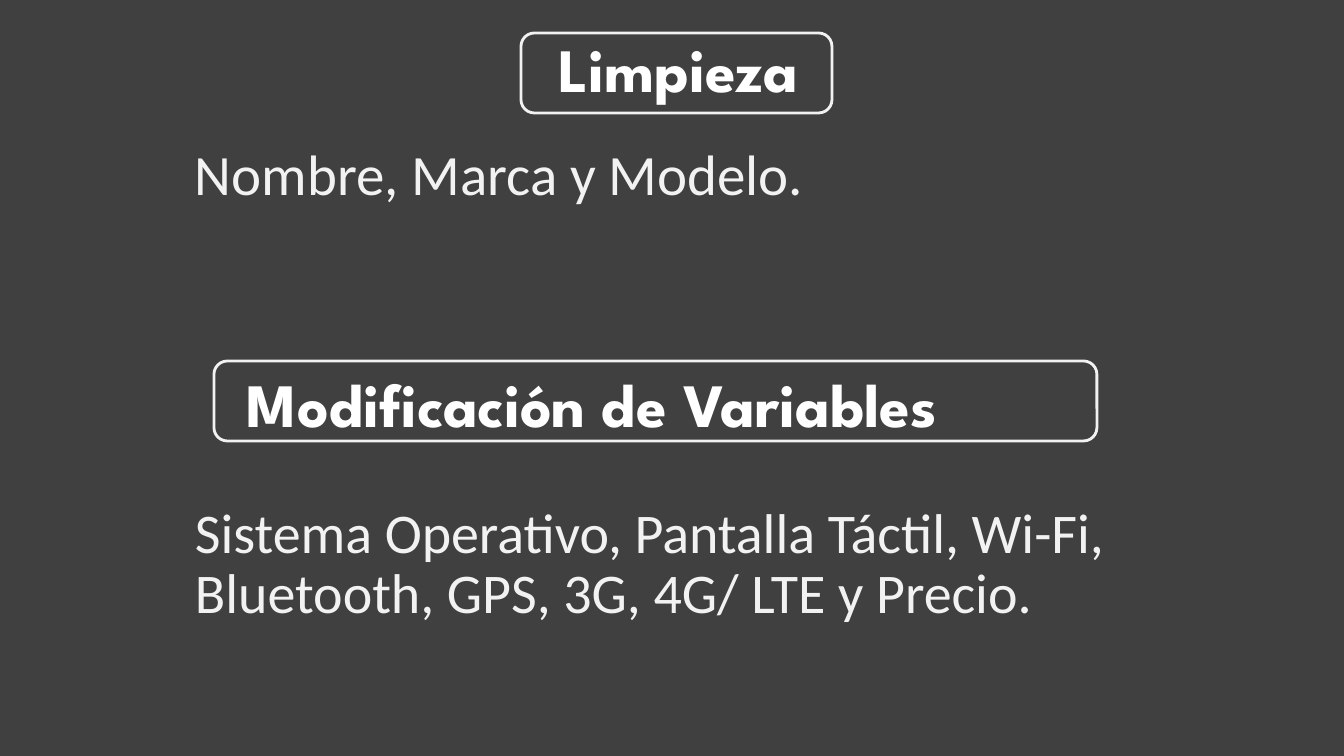
from dataclasses import dataclass

import pptx
import pptx.dml.color
import pptx.enum.shapes
import pptx.enum.text
import pptx.util

Align = pptx.enum.text.PP_ALIGN
Anchor = pptx.enum.text.MSO_ANCHOR
SCALE = 914400 / 100.8  # EMU in one px


@dataclass(frozen=True)
class Theme:
    back: str = "404040"
    white: str = "FFFFFF"
    pale: str = "F2F2F2"
    head_font: str = "League Spartan"
    body_font: str = "Calibri"
    head_size: float = 44
    list_size: float = 40.7
    body_size: float = 40
    line: float = 2


@dataclass(frozen=True)
class Box:
    left: int
    top: int
    width: int
    height: int

    def emu(self) -> list[int]:
        return [px(n) for n in (self.left, self.top, self.width, self.height)]


@dataclass(frozen=True)
class Label:
    box: Box
    text: str
    font: str
    size: float
    color: str
    bold: bool = False
    lead: float = 1.0
    align: Align = Align.LEFT
    anchor: Anchor = Anchor.TOP


THEME = Theme()


def px(count: int) -> int:
    return round(count * SCALE)


def rgb(code: str) -> pptx.dml.color.RGBColor:
    return pptx.dml.color.RGBColor.from_string(code)


def add_label(slide, label: Label) -> None:
    frame = slide.shapes.add_textbox(*label.box.emu()).text_frame
    frame.word_wrap = True
    frame.vertical_anchor = label.anchor
    frame.text = label.text
    para = frame.paragraphs[0]
    para.alignment = label.align
    para.line_spacing = label.lead
    font = para.runs[0].font
    font.name = label.font
    font.size = pptx.util.Pt(label.size)
    font.bold = label.bold
    font.color.rgb = rgb(label.color)


def add_frame(slide, box: Box) -> None:
    kind = pptx.enum.shapes.MSO_SHAPE.ROUNDED_RECTANGLE
    shape = slide.shapes.add_shape(kind, *box.emu())
    shape.shadow.inherit = False
    shape.fill.background()
    shape.line.color.rgb = rgb(THEME.pale)
    shape.line.width = pptx.util.Pt(THEME.line)


LABELS = [
    # Headings
    Label(Box(99, 0, 1159, 146), "Limpieza", THEME.head_font, THEME.head_size,
          THEME.white, True, 0.9, Align.CENTER, Anchor.MIDDLE),
    Label(Box(237, 361, 883, 85), "Modificación de Variables",
          THEME.head_font, THEME.head_size, THEME.white, True),
    # Variables under each heading
    Label(Box(185, 147, 658, 70), "Nombre, Marca y Modelo.",
          THEME.body_font, THEME.list_size, THEME.pale, lead=0.8),
    Label(Box(185, 500, 939, 153),
          "Sistema Operativo, Pantalla Táctil, Wi-Fi, "
          "Bluetooth, GPS, 3G, 4G/ LTE y Precio.",
          THEME.body_font, THEME.body_size, THEME.pale, lead=0.9),
]
FRAMES = [Box(521, 33, 311, 80), Box(214, 361, 883, 80)]


def main() -> None:
    deck = pptx.Presentation()
    deck.slide_width, deck.slide_height = px(1344), px(756)
    slide = deck.slides.add_slide(deck.slide_layouts[6])
    fill = slide.background.fill
    fill.solid()
    fill.fore_color.rgb = rgb(THEME.back)

    for label in LABELS:
        add_label(slide, label)
    for box in FRAMES:
        add_frame(slide, box)
    deck.save("out.pptx")


if __name__ == "__main__":
    main()
